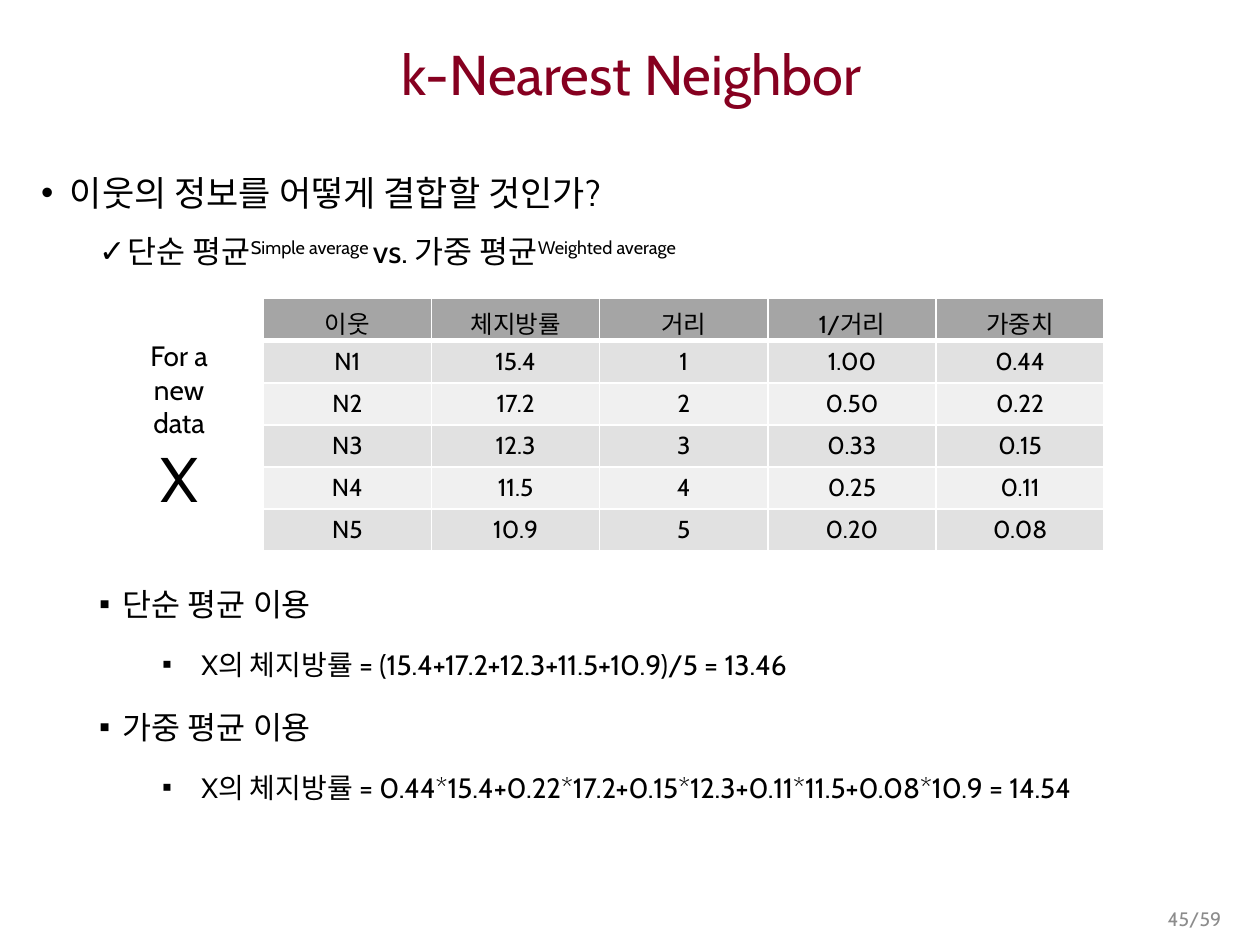
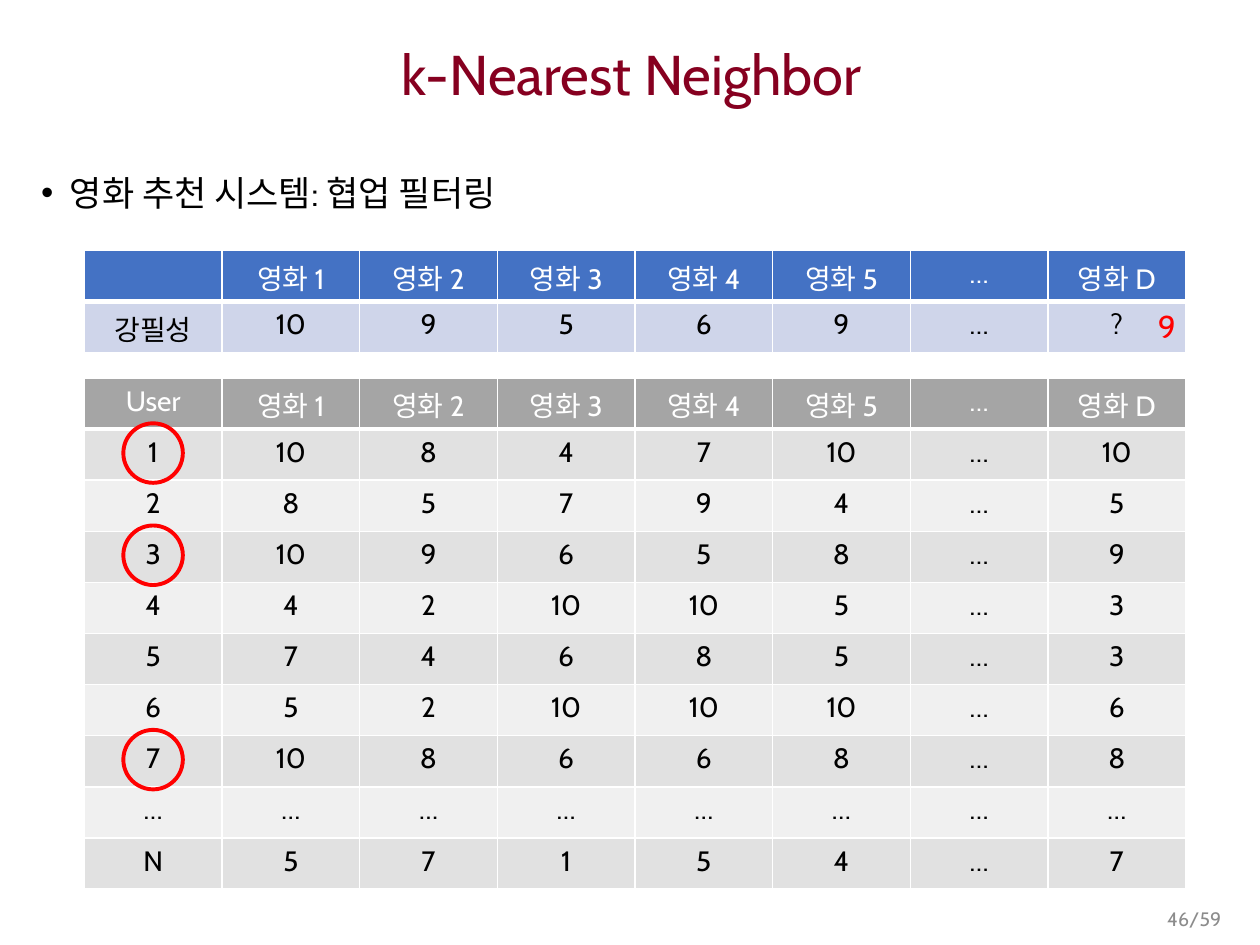
from lxml.etree import SubElement
from pptx import Presentation
from pptx.dml.color import RGBColor
from pptx.enum.shapes import MSO_SHAPE
from pptx.enum.text import MSO_ANCHOR, PP_ALIGN
from pptx.oxml.ns import qn
from pptx.util import Cm, Pt

FONT = "Cabin"
BLACK, WHITE, RED = "000000", "FFFFFF", "FF0000"
WINE, GREY, BLUE = "860020", "8C8C8C", "4472C4"
SILVER, PALE = "A5A5A5", "CFD5EA"
BANDS = ("E1E1E1", "F0F0F0")
PAGES = 59

# Outline styles: level, bullet, left edge and hang in cm, line spacing, size
HEAD = (0, "•", 0.58, 0.58, 1.3, 20)
CHECK = (1, "✓", 1.75, 0.58, 1.3, 18)
ITEM = (1, "▪", 1.65, 0.48, 1.5, 18)
SUB = (2, "▪", 3.23, 0.79, 1.5, 16)

NEAR = [
    ["이웃", "체지방률", "거리", "1/거리", "가중치"],
    ["N1", "15.4", "1", "1.00", "0.44"],
    ["N2", "17.2", "2", "0.50", "0.22"],
    ["N3", "12.3", "3", "0.33", "0.15"],
    ["N4", "11.5", "4", "0.25", "0.11"],
    ["N5", "10.9", "5", "0.20", "0.08"],
]
FILMS = [f"영화 {n}" for n in range(1, 6)] + ["…", "영화 D"]
TARGET = [[""] + FILMS, "강필성 10 9 5 6 9 … ?".split()]
USERS = [["User"] + FILMS] + [line.split() for line in (
    "1 10 8 4 7 10 … 10",
    "2 8 5 7 9 4 … 5",
    "3 10 9 6 5 8 … 9",
    "4 4 2 10 10 5 … 3",
    "5 7 4 6 8 5 … 3",
    "6 5 2 10 10 10 … 6",
    "7 10 8 6 6 8 … 8",
    "… … … … … … … …",
    "N 5 7 1 5 4 … 7",
)]


def paint(code):
    return RGBColor.from_string(code)


def style(para, size, color=BLACK, align=None):
    """Format every run of a paragraph."""
    para.alignment = align
    for run in para.runs:
        run.font.name, run.font.size = FONT, Pt(size)
        run.font.bold = False
        run.font.color.rgb = paint(color)


def add_box(slide, box):
    frame = slide.shapes.add_textbox(*map(Cm, box)).text_frame
    frame.word_wrap = True
    return frame


def add_label(slide, box, lines, color=BLACK, align=None):
    """Text box whose lines are pairs of text and size."""
    frame = add_box(slide, box)
    frame.text = "\n".join(text for text, _ in lines)
    for para, (_, size) in zip(frame.paragraphs, lines):
        style(para, size, color, align)
    return frame


def add_list(slide, box, items):
    """Bulleted outline; each item is a style and its runs, odd runs raised."""
    frame = add_box(slide, box)
    for num, (look, *texts) in enumerate(items):
        level, mark, left, hang, space, size = look
        para = frame.add_paragraph() if num else frame.paragraphs[0]
        para.level, para.line_spacing = level, space
        if num:
            para.space_before = Pt(4.6)
        props = para._p.get_or_add_pPr()
        props.set("marL", str(Cm(left)))
        props.set("indent", str(-Cm(hang)))
        SubElement(props, qn("a:buFont"), typeface="Arial")
        SubElement(props, qn("a:buChar"), char=mark)
        for pos, text in enumerate(texts):
            run = para.add_run()
            run.text = text
            if pos % 2:
                run._r.get_or_add_rPr().set("baseline", "30000")
        style(para, size)


def add_edges(cell, row):
    """White cell borders, thick between the header and the body."""
    props = cell._tc.get_or_add_tcPr()
    thick = {"T": row == 1, "B": row == 0}
    for side in "LRTB":
        width = Pt(3 if thick.get(side) else 1)
        line = SubElement(props, qn(f"a:ln{side}"), w=str(width))
        fill = SubElement(line, qn("a:solidFill"))
        SubElement(fill, qn("a:srgbClr"), val=WHITE)


def add_grid(slide, box, rows, size, head, ink, bands=BANDS, anchor=MSO_ANCHOR.TOP):
    """Table with equal columns and rows, a header and banded rows."""
    shape = slide.shapes.add_table(len(rows), len(rows[0]), *map(Cm, box))
    for r, row in enumerate(rows):
        for c, text in enumerate(row):
            cell = shape.table.cell(r, c)
            add_edges(cell, r)
            cell.fill.solid()
            cell.fill.fore_color.rgb = paint(bands[(r - 1) % len(bands)] if r else head)
            cell.vertical_anchor = anchor
            cell.text_frame.text = text
            style(cell.text_frame.paragraphs[0], size, BLACK if r else ink, PP_ALIGN.CENTER)


def add_ring(slide, mid_x, mid_y, size=1.2):
    box = (mid_x - size / 2, mid_y - size / 2, size, size)
    ring = slide.shapes.add_shape(MSO_SHAPE.OVAL, *map(Cm, box))
    ring.shadow.inherit = False
    ring.fill.background()
    ring.line.color.rgb, ring.line.width = paint(RED), Pt(2.25)


def add_page(deck, num):
    """Slide with the shared title and page number."""
    slide = deck.slides.add_slide(deck.slide_layouts[5])
    title = slide.shapes.title
    title.left, title.top, title.width, title.height = map(Cm, (0.58, 0.64, 24.31, 1.85))
    frame = title.text_frame
    frame.text = "k-Nearest Neighbor"
    frame.vertical_anchor = MSO_ANCHOR.MIDDLE
    frame.paragraphs[0].line_spacing = 0.9
    style(frame.paragraphs[0], 32, WINE, PP_ALIGN.CENTER)
    foot = add_label(slide, (19.15, 18.14, 5.72, 0.76), [(f"{num}/{PAGES}", 11.1)],
                     GREY, PP_ALIGN.RIGHT)
    foot.vertical_anchor = MSO_ANCHOR.MIDDLE
    return slide


def build_mean(deck):
    """Simple and weighted average of the neighbours."""
    slide = add_page(deck, 45)
    add_list(slide, (0.58, 3.07, 24.31, 2.7), [
        (HEAD, "이웃의 정보를 어떻게 결합할 것인가?"),
        (CHECK, "단순 평균", "Simple average ", "vs. 가중 평균", "Weighted average"),
    ])
    add_grid(slide, (5.31, 6.02, 16.95, 5.04), NEAR, 14, SILVER, BLACK,
             anchor=MSO_ANCHOR.MIDDLE)
    add_label(slide, (2.31, 6.7, 2.6, 3.18), [("For a new data", 16), ("X", 36)],
              align=PP_ALIGN.CENTER)
    add_list(slide, (0.58, 11.28, 24.31, 5.2), [
        (ITEM, "단순 평균 이용"),
        (SUB, "X의 체지방률 = (15.4+17.2+12.3+11.5+10.9)/5 = 13.46"),
        (ITEM, "가중 평균 이용"),
        (SUB, "X의 체지방률 = 0.44*15.4+0.22*17.2+0.15*12.3+0.11*11.5+0.08*10.9 = 14.54"),
    ])


def build_films(deck):
    """Film ratings of one viewer and of the other users."""
    slide = add_page(deck, 46)
    add_list(slide, (0.58, 3.07, 24.31, 1.4), [(HEAD, "영화 추천 시스템: 협업 필터링")])
    left, top, width, step = 1.7, 7.62, 22.2, 1.03
    add_grid(slide, (left, top, width, step * len(USERS)), USERS, 16, SILVER, WHITE)
    add_grid(slide, (left, 5.05, width, step * len(TARGET)), TARGET, 16, BLUE, WHITE, (PALE,))
    # Rings around the nearest users
    for user in (1, 3, 7):
        add_ring(slide, left + width / len(USERS[0]) / 2, top + step * (user + 0.47))
    add_label(slide, (23.09, 6.07, 0.99, 1.02), [("9", 18)], RED)


def main():
    deck = Presentation()
    deck.slide_width, deck.slide_height = Cm(25.4), Cm(19.05)
    build_mean(deck)
    build_films(deck)
    deck.save("out.pptx")


if __name__ == "__main__":
    main()
